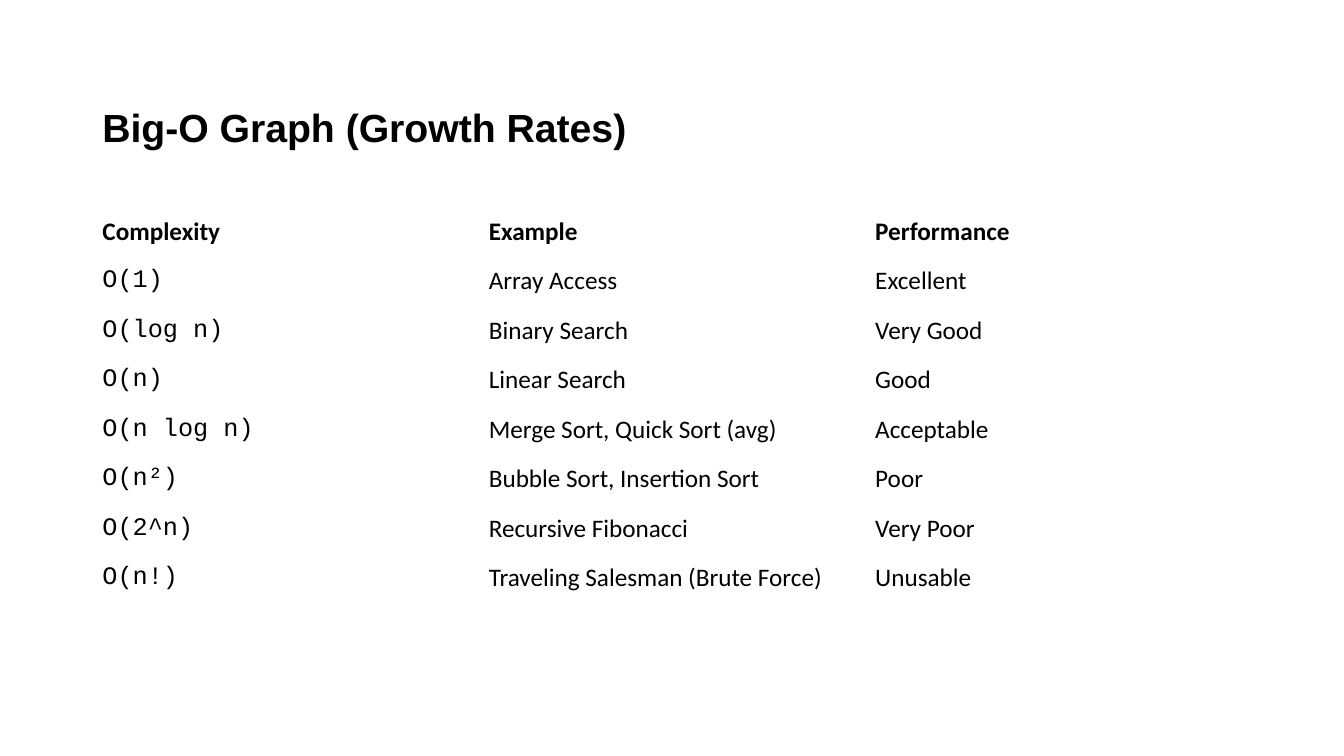
from dataclasses import dataclass

from pptx import Presentation
from pptx.dml.color import RGBColor
from pptx.enum.text import MSO_ANCHOR as Anchor, MSO_AUTO_SIZE as AutoSize
from pptx.slide import Slide
from pptx.table import _Cell as Cell
from pptx.text.text import _Paragraph as Paragraph
from pptx.util import Inches, Pt

BLACK = RGBColor(0x00, 0x00, 0x00)
WHITE = RGBColor(0xFF, 0xFF, 0xFF)
SLIDE_WIDTH, SLIDE_HEIGHT = Inches(13.333), Inches(7.5)
GRID_COLUMNS, GRID_ROWS = 160, 90
LEFT_MARGIN = 11
COLUMN_SPAN, ROW_SPAN = 46, 5.9


@dataclass(frozen=True)
class TextStyle:
    typeface: str
    size: int
    bold: bool = False


@dataclass(frozen=True)
class GrowthRate:
    complexity: str
    example: str
    performance: str


TITLE = TextStyle("Arial", 28, bold=True)
HEADING = TextStyle("Calibri", 18, bold=True)
BODY = TextStyle("Calibri", 18)
NOTATION = TextStyle("Courier New", 18)

HEADINGS = GrowthRate("Complexity", "Example", "Performance")
GROWTH_RATES = [
    GrowthRate("O(1)", "Array Access", "Excellent"),
    GrowthRate("O(log n)", "Binary Search", "Very Good"),
    GrowthRate("O(n)", "Linear Search", "Good"),
    GrowthRate("O(n log n)", "Merge Sort, Quick Sort (avg)", "Acceptable"),
    GrowthRate("O(n²)", "Bubble Sort, Insertion Sort", "Poor"),
    GrowthRate("O(2^n)", "Recursive Fibonacci", "Very Poor"),
    GrowthRate("O(n!)", "Traveling Salesman (Brute Force)", "Unusable"),
]


def across(columns: float) -> int:
    return round(SLIDE_WIDTH * columns / GRID_COLUMNS)


def down(rows: float) -> int:
    return round(SLIDE_HEIGHT * rows / GRID_ROWS)


def write(paragraph: Paragraph, wording: str, style: TextStyle) -> None:
    paragraph.text = wording
    paragraph.font.name = style.typeface
    paragraph.font.size = Pt(style.size)
    paragraph.font.bold = style.bold
    paragraph.font.color.rgb = BLACK


def fill_cell(cell: Cell, wording: str, style: TextStyle) -> None:
    cell.fill.background()
    cell.vertical_anchor = Anchor.MIDDLE
    write(cell.text_frame.paragraphs[0], wording, style)


def add_title(slide: Slide, wording: str) -> None:
    title = slide.shapes.add_textbox(
        across(LEFT_MARGIN), down(11.7), across(65.5), down(13.3)
    ).text_frame
    title.word_wrap = False
    title.auto_size = AutoSize.NONE
    title.vertical_anchor = Anchor.TOP
    write(title.paragraphs[0], wording, TITLE)


def add_growth_table(slide: Slide, rates: list[GrowthRate]) -> None:
    row_count = len(rates) + 1
    table = slide.shapes.add_table(
        row_count, 3, across(LEFT_MARGIN), down(24.6),
        across(3 * COLUMN_SPAN), down(row_count * ROW_SPAN),
    ).table
    table.first_row = True
    table.horz_banding = False
    for column in table.columns:
        column.width = across(COLUMN_SPAN)
    for row, rate in zip(table.rows, [HEADINGS, *rates]):
        row.height = down(ROW_SPAN)
        is_heading = rate is HEADINGS
        styles = [HEADING] * 3 if is_heading else [NOTATION, BODY, BODY]
        wordings = [rate.complexity, rate.example, rate.performance]
        for cell, wording, style in zip(row.cells, wordings, styles):
            fill_cell(cell, wording, style)


def main() -> None:
    deck = Presentation()
    deck.slide_width, deck.slide_height = SLIDE_WIDTH, SLIDE_HEIGHT
    slide = deck.slides.add_slide(deck.slide_layouts[6])
    slide.background.fill.solid()
    slide.background.fill.fore_color.rgb = WHITE
    add_growth_table(slide, GROWTH_RATES)
    add_title(slide, "Big-O Graph (Growth Rates)")
    deck.save("out.pptx")


if __name__ == "__main__":
    main()
